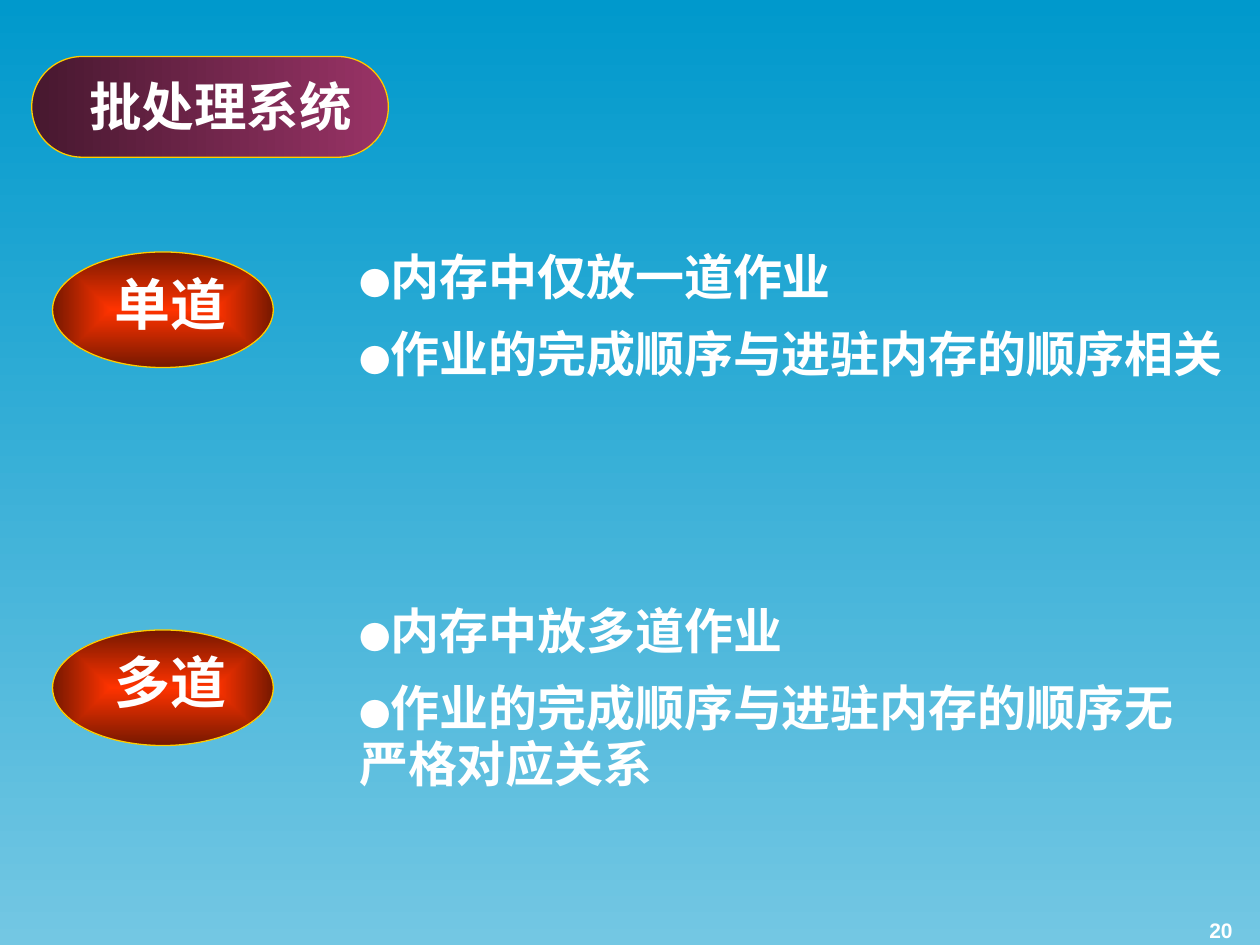
from dataclasses import dataclass

from lxml.etree import SubElement
from pptx import Presentation
from pptx.dml.color import RGBColor
from pptx.dml.fill import FillFormat
from pptx.enum.shapes import MSO_SHAPE as Shape
from pptx.enum.text import MSO_ANCHOR as Anchor, PP_ALIGN as Align
from pptx.oxml.ns import qn
from pptx.util import Cm, Pt

COLORS = {
    "sky_top": "0099CC",
    "sky_bottom": "73C7E3",
    "plum_dark": "47182F",
    "plum": "993366",
    "flame": "FF3300",
    "ember": "761800",
    "gold": "FFCC00",
    "white": "FFFFFF",
}
SERIF = "Times New Roman"


@dataclass(frozen=True)
class Box:
    """Position and size in centimetres."""
    left: float
    top: float
    width: float
    height: float

    def lengths(self) -> tuple:
        return Cm(self.left), Cm(self.top), Cm(self.width), Cm(self.height)


@dataclass(frozen=True)
class Mode:
    name: str
    oval_top: float
    points_box: Box
    points: tuple


MODES = (
    Mode("单道", 5.08, Box(6.99, 4.93, 18.41, 2.95),
         ("内存中仅放一道作业", "作业的完成顺序与进驻内存的顺序相关")),
    Mode("多道", 12.7, Box(6.99, 12.07, 17.78, 4.06),
         ("内存中放多道作业", "作业的完成顺序与进驻内存的顺序无严格对应关系")),
)


def color(name: str) -> RGBColor:
    return RGBColor.from_string(COLORS[name])


def fill_gradient(fill: FillFormat, start: str, end: str, angle: int = 0) -> None:
    fill.gradient()
    fill.gradient_angle = angle
    for stop, name in zip(fill.gradient_stops, (start, end)):
        stop.color.rgb = color(name)


def center_gradient(shape) -> None:
    """Make the shape's gradient spread from its centre to its edges."""
    gradient = shape._element.spPr.find(qn("a:gradFill"))
    gradient.remove(gradient.find(qn("a:lin")))
    spread = SubElement(gradient, qn("a:path"), {"path": "rect"})
    SubElement(spread, qn("a:fillToRect"), dict.fromkeys("ltrb", "50000"))


def add_badge(slide, preset: Shape, box: Box, start: str, end: str):
    badge = slide.shapes.add_shape(preset, *box.lengths())
    badge.shadow.inherit = False
    fill_gradient(badge.fill, start, end)
    badge.line.color.rgb = color("gold")
    badge.line.width = Pt(0.75)
    return badge


def style_run(run, size: int, font_name: str, bold: bool = True) -> None:
    run.font.size = Pt(size)
    run.font.name = font_name
    run.font.bold = bold
    run.font.color.rgb = color("white")


def add_text_frame(slide, box: Box):
    frame = slide.shapes.add_textbox(*box.lengths()).text_frame
    frame.word_wrap = True
    return frame


def add_label(slide, box: Box, text: str, size: int, font_name: str = SERIF,
              align: Align = Align.LEFT, anchor: Anchor = Anchor.TOP) -> None:
    frame = add_text_frame(slide, box)
    frame.vertical_anchor = anchor
    frame.text = text
    label = frame.paragraphs[0]
    label.alignment = align
    style_run(label.runs[0], size, font_name)


def add_points(slide, box: Box, points: tuple) -> None:
    frame = add_text_frame(slide, box)
    for index, point in enumerate(points):
        paragraph = frame.add_paragraph() if index else frame.paragraphs[0]
        paragraph.line_spacing = 0.95
        if index:
            paragraph.space_before = Pt(12.2)
        for text, size, font_name, bold in (("●", 18, SERIF, False),
                                            (point, 28, "Lato", True)):
            run = paragraph.add_run()
            run.text = text
            style_run(run, size, font_name, bold)


def add_mode(slide, mode: Mode) -> None:
    oval = add_badge(slide, Shape.OVAL, Box(1.06, mode.oval_top, 4.45, 2.33),
                     "flame", "ember")
    center_gradient(oval)
    add_label(slide, Box(2.06, mode.oval_top + 0.23, 2.97, 1.63), mode.name, 32)
    add_points(slide, mode.points_box, mode.points)


def main() -> None:
    deck = Presentation()
    deck.slide_width, deck.slide_height = Cm(25.4), Cm(19.05)
    slide = deck.slides.add_slide(deck.slide_layouts[6])
    fill_gradient(slide.background.fill, "sky_top", "sky_bottom", angle=270)

    add_label(slide, Box(19.18, 17.81, 5.92, 1.32), "20", 12, "Arial",
              Align.RIGHT, Anchor.BOTTOM)
    title_pill = add_badge(slide, Shape.ROUNDED_RECTANGLE,
                           Box(0.64, 1.14, 7.19, 2.03), "plum_dark", "plum")
    title_pill.adjustments[0] = 0.5
    add_label(slide, Box(1.27, 1.07, 6.35, 2.11), "批处理系统", 30,
              align=Align.CENTER, anchor=Anchor.MIDDLE)
    for mode in MODES:
        add_mode(slide, mode)

    deck.save("out.pptx")


if __name__ == "__main__":
    main()
